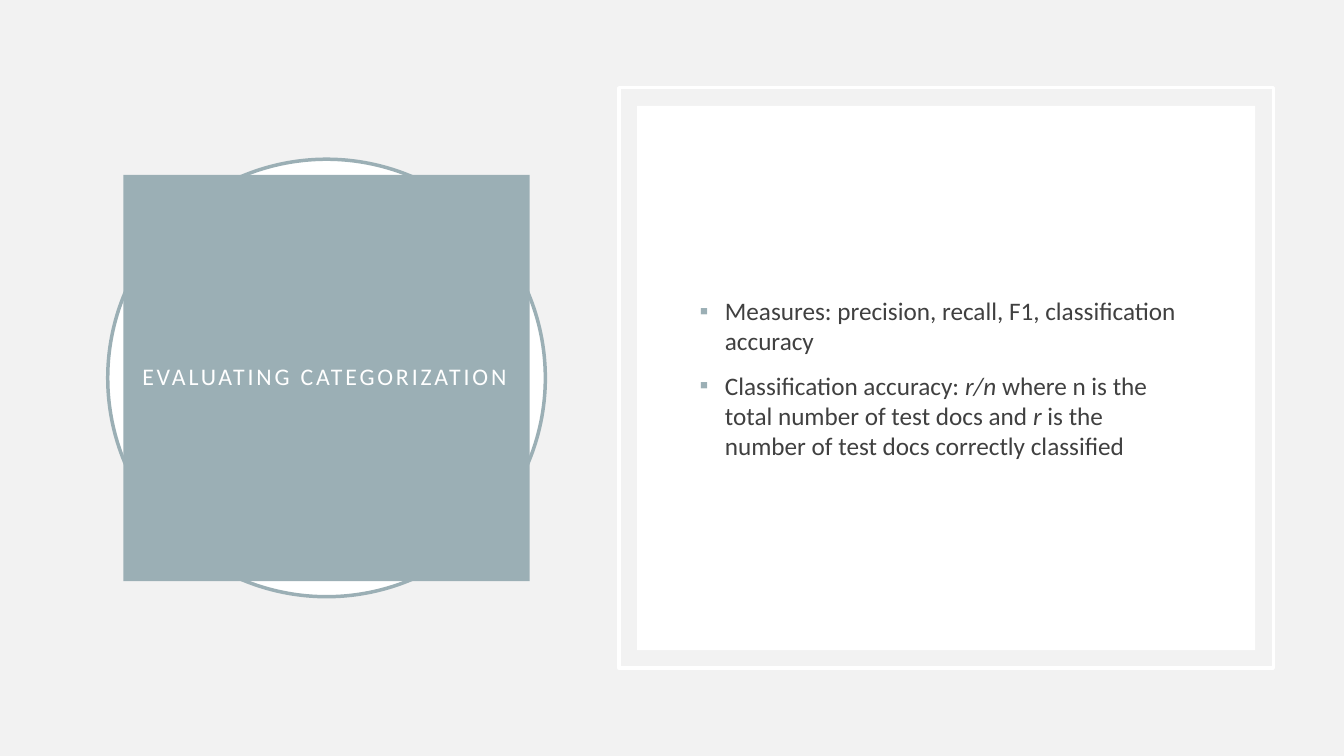
from lxml.etree import SubElement
from pptx import Presentation
from pptx.dml.color import RGBColor
from pptx.enum.shapes import MSO_SHAPE
from pptx.enum.text import MSO_ANCHOR, MSO_AUTO_SIZE, PP_ALIGN
from pptx.oxml.ns import qn
from pptx.util import Inches, Pt

WIDE, HIGH = Inches(13.33), Inches(7.5)
LEFT, RIGHT = 24.3, 70.4
TEAL, WHITE, GRAY, PALE = "9BAFB5", "FFFFFF", "404040", "F2F2F2"
FRAME = dict(
    word_wrap=True,
    auto_size=MSO_AUTO_SIZE.NONE,
    vertical_anchor=MSO_ANCHOR.MIDDLE,
    margin_left=Inches(0.1),
    margin_right=Inches(0.14),
    margin_top=Inches(0.05),
    margin_bottom=Inches(0.05),
)
POINTS = [
    [("Measures: precision, recall, F1, classification accuracy", False)],
    [
        ("Classification accuracy: ", False),
        ("r/n ", True),
        ("where n is the total number of test docs and ", False),
        ("r", True),
        (" is the number of test docs correctly classified", False),
    ],
]


def paint(part, color):
    part.solid()
    part.fore_color.rgb = RGBColor.from_string(color)


def apply(item, values):
    for name, value in values.items():
        setattr(item, name, value)


def area(mid, wide, high):
    size = round(WIDE * wide / 100), round(HIGH * high / 100)
    return round(WIDE * mid / 100 - size[0] / 2), (HIGH - size[1]) // 2, *size


def panel(slide, kind, spot, front, fill=None, line=None):
    shape = slide.shapes.add_shape(kind, *spot)
    shape.shadow.inherit = False
    if fill:
        paint(shape.fill, fill)
    else:
        shape.fill.background()
    if line:
        paint(shape.line.fill, line)
        shape.line.width = Pt(2.5)
    else:
        shape.line.fill.background()
    front.element.addprevious(shape.element)


def place(holder, spot):
    apply(holder, dict(zip(("left", "top", "width", "height"), spot)))
    apply(holder.text_frame, FRAME)
    return holder.text_frame


def write(para, text, size, color, italic=False):
    run = para.add_run()
    run.text = text
    apply(run.font, dict(name="Calibri", size=Pt(size), italic=italic))
    paint(run.font.fill, color)
    return run


def bullet(para):
    props = para._p.get_or_add_pPr()
    apply_xml = dict(marL=Inches(0.25), indent=-Inches(0.25))
    for name, value in apply_xml.items():
        props.set(name, str(value))
    tint = SubElement(props, qn("a:buClr"))
    SubElement(tint, qn("a:srgbClr"), val=TEAL)
    SubElement(props, qn("a:buChar"), char="▪")


def heading(holder):
    para = place(holder, area(LEFT, 30.23, 53.73)).paragraphs[0]
    paint(holder.fill, TEAL)
    apply(para, dict(alignment=PP_ALIGN.CENTER, line_spacing=0.9))
    run = write(para, "EVALUATING CATEGORIZATION", 17, WHITE)
    run.font._element.set("spc", "200")


def listing(holder):
    frame = place(holder, area(RIGHT, 38.18, 57.87))
    for rank, point in enumerate(POINTS):
        para = frame.add_paragraph() if rank else frame.paragraphs[0]
        bullet(para)
        para.space_before = Pt(10 if rank else 0)
        for text, italic in point:
            write(para, text, 18, GRAY, italic)


def main():
    deck = Presentation()
    apply(deck, dict(slide_width=WIDE, slide_height=HIGH))
    slide = deck.slides.add_slide(deck.slide_layouts[1])
    paint(slide.background.fill, PALE)
    title, body = slide.placeholders
    panel(slide, MSO_SHAPE.OVAL, area(LEFT, 32.56, 57.87), title, WHITE, TEAL)
    heading(title)
    panel(slide, MSO_SHAPE.RECTANGLE, area(RIGHT, 48.69, 76.8), body, line=WHITE)
    panel(slide, MSO_SHAPE.RECTANGLE, area(RIGHT, 45.99, 72), body, WHITE)
    listing(body)
    deck.save("out.pptx")


if __name__ == "__main__":
    main()
